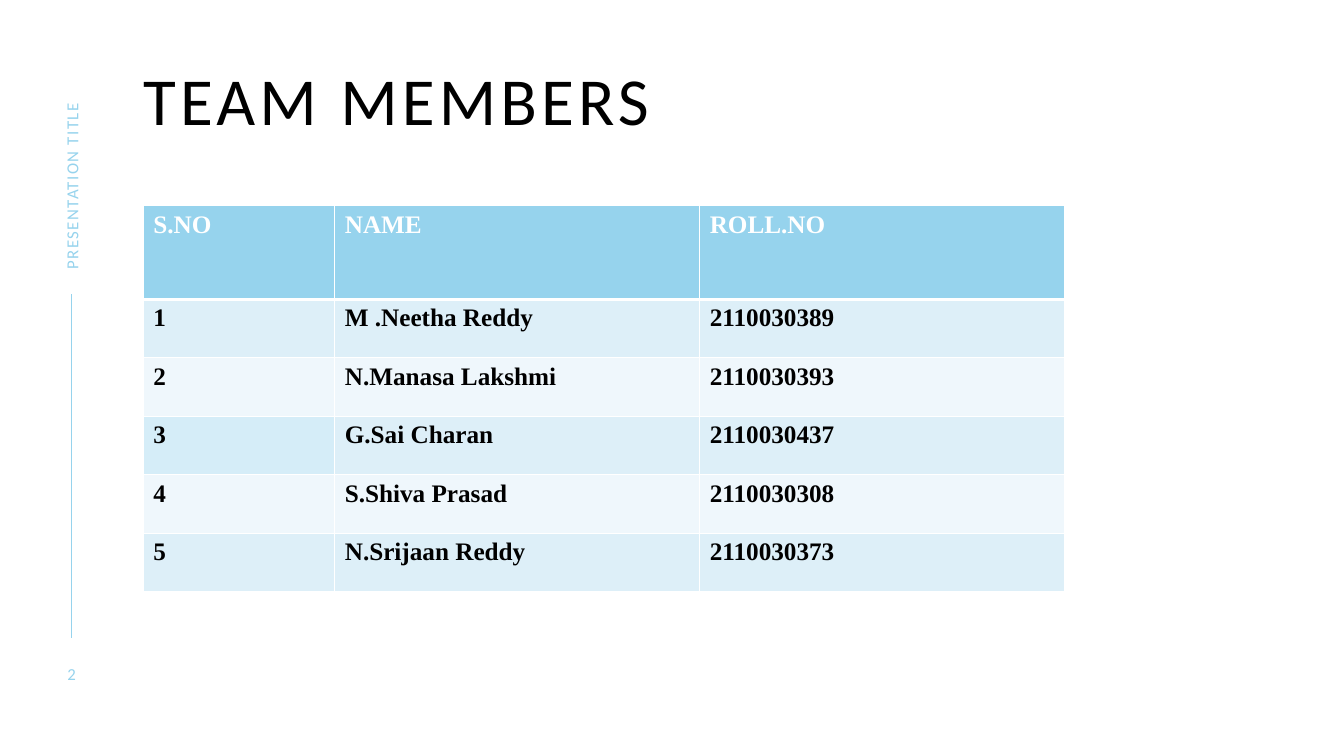
import pptx
import pptx.dml.color
import pptx.enum.shapes
import pptx.enum.text
import pptx.oxml
import pptx.oxml.ns
import pptx.util
from lxml import etree

Inches = pptx.util.Inches
Pt = pptx.util.Pt
ALIGN = pptx.enum.text.PP_ALIGN
ANCHOR = pptx.enum.text.MSO_ANCHOR

COLORS = {
    "accent": "96D3ED",
    "odd_row": "DDEFF8",
    "even_row": "EFF7FC",
    "highlight": "D5EDF8",
    "white": "FFFFFF",
    "black": "000000",
}
LEFT_MARGIN = 1.42
RAIL_CENTER = 0.71
COLUMN_WIDTHS = [1.9, 3.62, 3.62]
ROW_HEIGHTS = [0.93] + [0.58] * 5
ROWS = [
    ["S.NO", "NAME", "ROLL.NO"],
    ["1", "M .Neetha Reddy", "2110030389"],
    ["2", "N.Manasa Lakshmi", "2110030393"],
    ["3", "G.Sai Charan", "2110030437"],
    ["4", "S.Shiva Prasad", "2110030308"],
    ["5", "N.Srijaan Reddy", "2110030373"],
]


def rgb(name):
    return pptx.dml.color.RGBColor.from_string(COLORS[name])


def write_text(text_frame, text, size, color, font="Calibri", spacing=0, bold=False):
    """Set one paragraph and format its run; spacing is in points."""
    text_frame.text = text
    run = text_frame.paragraphs[0].runs[0]
    run.font.name = font
    run.font.size = Pt(size)
    run.font.bold = bold
    run.font.color.rgb = rgb(color)
    if spacing:
        run.font._element.set("spc", str(spacing * 100))


presentation = pptx.Presentation()
presentation.slide_width = Inches(13.33)
presentation.slide_height = Inches(7.5)
slide = presentation.slides.add_slide(presentation.slide_layouts[5])

# Vertical rule in the left rail
rule = slide.shapes.add_connector(
    pptx.enum.shapes.MSO_CONNECTOR.STRAIGHT,
    Inches(RAIL_CENTER), Inches(2.92), Inches(RAIL_CENTER), Inches(6.33))
rule.line.color.rgb = rgb("accent")
rule.line.width = Pt(1)
etree.SubElement(rule._element.spPr, pptx.oxml.ns.qn("a:effectLst"))

# Title
title = slide.shapes.title
title.left, title.top = Inches(LEFT_MARGIN), Inches(0.67)
title.width, title.height = Inches(11), Inches(1)
write_text(title.text_frame, "TEAM MEMBERS", 48, "black", spacing=3)
title.text_frame.vertical_anchor = ANCHOR.TOP
title.text_frame.paragraphs[0].alignment = ALIGN.LEFT
title.text_frame.paragraphs[0].line_spacing = 0.9

# Team table
table = slide.shapes.add_table(
    len(ROWS), len(COLUMN_WIDTHS), Inches(LEFT_MARGIN), Inches(2.04),
    Inches(sum(COLUMN_WIDTHS)), Inches(sum(ROW_HEIGHTS))).table
for column, width in zip(table.columns, COLUMN_WIDTHS):
    column.width = Inches(width)
for row, height in zip(table.rows, ROW_HEIGHTS):
    row.height = Inches(height)

for row_index, values in enumerate(ROWS):
    is_header = row_index == 0
    for column_index, value in enumerate(values):
        cell = table.cell(row_index, column_index)
        write_text(cell.text_frame, value, 18, "white" if is_header else "black",
                   font="Times New Roman", bold=True)
        properties = cell._tc.get_or_add_tcPr()
        for side in "LRTB":
            below_header = (row_index, side) in [(0, "B"), (1, "T")]
            border = etree.SubElement(properties, pptx.oxml.ns.qn(f"a:ln{side}"),
                                      w=str(Pt(3 if below_header else 1)))
            fill = etree.SubElement(border, pptx.oxml.ns.qn("a:solidFill"))
            etree.SubElement(fill, pptx.oxml.ns.qn("a:srgbClr"), val=COLORS["white"])
        if is_header:
            fill_name = "accent"
        elif (row_index, column_index) == (3, 0):
            fill_name = "highlight"
        else:
            fill_name = "odd_row" if row_index % 2 else "even_row"
        cell.fill.solid()
        cell.fill.fore_color.rgb = rgb(fill_name)

# Slide number and rotated presentation title, both centred on the rail
rail_texts = [
    ("2", 6.58, 0.5, 0.2, 0, 2, ALIGN.CENTER),
    ("PRESENTATION TITLE", 1.59, 1.95, 0.21, 270, 1, ALIGN.LEFT),
]
for text, top, width, height, rotation, spacing, alignment in rail_texts:
    box = slide.shapes.add_textbox(Inches(RAIL_CENTER - width / 2), Inches(top),
                                   Inches(width), Inches(height))
    box.rotation = rotation
    write_text(box.text_frame, text, 12, "accent", spacing=spacing)
    box.text_frame.vertical_anchor = ANCHOR.MIDDLE
    box.text_frame.paragraphs[0].alignment = alignment

for shape in slide.shapes:
    if shape.has_text_frame:
        frame = shape.text_frame
        frame.word_wrap = True
        frame.auto_size = pptx.enum.text.MSO_AUTO_SIZE.NONE
        frame.margin_left = frame.margin_right = 0
        frame.margin_top = frame.margin_bottom = 0

presentation.save("out.pptx")
